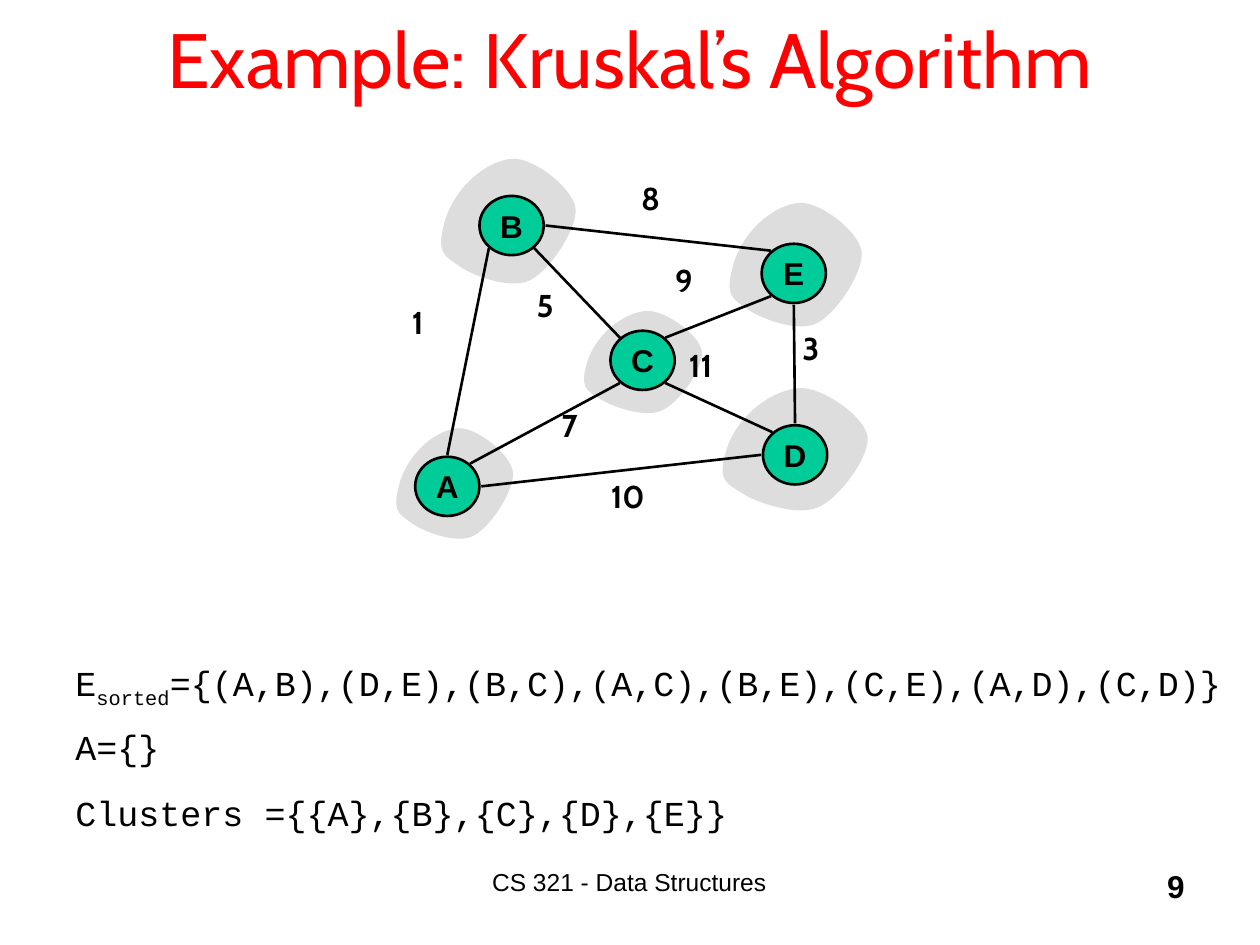
from dataclasses import dataclass

from lxml import etree
from pptx import Presentation
from pptx.dml.color import RGBColor as Rgb
from pptx.enum import shapes, text
from pptx.oxml import ns
from pptx.util import Inches, Pt


@dataclass(frozen=True)
class Theme:
    red: str = "FF0000"
    black: str = "000000"
    green: str = "00CC99"
    gray: str = "DDDDDD"
    head: str = "Cabin"
    body: str = "Arial"
    code: str = "Courier New"
    title: int = 44
    label: int = 18
    set: int = 20
    foot: int = 14
    line: float = 1.5


T = Theme()

# Node centres, and the cluster blob (left, top, width, height) behind each
NODES = {
    "A": ((3.55, 3.86), (3.1, 3.39, 0.99, 0.93)),
    "B": ((4.06, 1.79), (3.45, 1.25, 1.14, 1.05)),
    "C": ((5.1, 2.86), (4.59, 2.46, 1.0, 0.86)),
    "D": ((6.31, 3.61), (5.68, 3.07, 1.23, 1.03)),
    "E": ((6.3, 2.17), (5.74, 1.6, 1.12, 1.04)),
}
NODE_W, NODE_H = 0.51, 0.47

# Blob outline on a unit square: start, then three points per curve
BLOB = [
    (0.08, 0.45),
    (0, 0.73), (0.07, 0.74), (0.17, 0.82),
    (0.26, 0.89), (0.52, 1), (0.66, 0.93),
    (0.8, 0.86), (1, 0.53), (0.98, 0.38),
    (0.96, 0.23), (0.69, 0), (0.54, 0.01),
    (0.39, 0.02), (0.17, 0.18), (0.08, 0.45),
]

# Edges: node and side it leaves, node and side it meets, weight, weight's place
EDGES = [
    ("A", (0, -1), "B", (-1, 1), "1", (3.17, 2.36)),
    ("D", (0, -1), "E", (0, 1), "3", (6.27, 2.56)),
    ("B", (1, 1), "C", (-1, -1), "5", (4.16, 2.22)),
    ("A", (1, -1), "C", (-1, 1), "7", (4.36, 3.17)),
    ("B", (1, 0), "E", (-1, -1), "8", (4.99, 1.37)),
    ("C", (1, -1), "E", (-1, 1), "9", (5.26, 2.02)),
    ("A", (1, 0), "D", (-1, 0), "10", (4.75, 3.74)),
    ("C", (1, 1), "D", (-1, -1), "11", (5.37, 2.7)),
]

# Sets below the graph: top, width, runs of (words, baseline)
SETS = [
    (5.2, 9.42, [("E", 0), ("sorted", -25000),
                 ("={(A,B),(D,E),(B,C),(A,C),(B,E),(C,E),(A,D),(C,D)}", 0)]),
    (5.71, 1.78, [("A={}", 0)]),
    (6.23, 5.47, [("Clusters ={{A},{B},{C},{D},{E}}", 0)]),
]


def put(para, words, font, size, color=T.black, bold=False, base=0):
    run = para.add_run()
    run.text = words
    run.font.name, run.font.size, run.font.bold = font, Pt(size), bold
    run.font.color.rgb = Rgb.from_string(color)
    if base:
        run.font._element.set("baseline", str(base))


def paint(shape, color):
    shape.shadow.inherit = False
    shape.fill.solid()
    shape.fill.fore_color.rgb = Rgb.from_string(color)


def box(parent, x, y, w, h, align=text.PP_ALIGN.LEFT):
    frame = parent.add_textbox(Inches(x), Inches(y), Inches(w), Inches(h)).text_frame
    frame.word_wrap = True
    frame.paragraphs[0].alignment = align
    return frame.paragraphs[0]


def blob(group, x, y, w, h):
    pts = [(Inches(x + w * u), Inches(y + h * v)) for u, v in BLOB]
    pen = group.build_freeform(*pts[0])
    pen.add_line_segments(pts[1:], close=True)
    shape = pen.convert_to_shape()
    paint(shape, T.gray)
    shape.line.fill.background()
    # Turn each three straight steps into one Bezier curve
    steps = list(shape._element.iter(ns.qn("a:lnTo")))
    for i in range(0, len(steps), 3):
        curve = etree.Element(ns.qn("a:cubicBezTo"))
        steps[i].addprevious(curve)
        for step in steps[i:i + 3]:
            curve.append(step[0])
            step.getparent().remove(step)


def node(group, name, x, y):
    shape = group.add_shape(shapes.MSO_SHAPE.OVAL, Inches(x - NODE_W / 2),
                            Inches(y - NODE_H / 2), Inches(NODE_W), Inches(NODE_H))
    paint(shape, T.green)
    shape.line.color.rgb = Rgb.from_string(T.black)
    shape.line.width = Pt(T.line)
    frame = shape.text_frame
    frame.word_wrap = False
    frame.margin_left = frame.margin_right = frame.margin_top = frame.margin_bottom = 0
    frame.vertical_anchor = text.MSO_ANCHOR.MIDDLE
    frame.paragraphs[0].alignment = text.PP_ALIGN.CENTER
    put(frame.paragraphs[0], name, T.body, T.label, bold=True)


def port(name, side):
    """Point just outside a node; diagonal sides sit closer to the centre."""
    (x, y), (dx, dy) = NODES[name][0], side
    rx, ry = (0.18, 0.18) if dx and dy else (0.27, 0.25)
    return Inches(x + dx * rx), Inches(y + dy * ry)


def edge(group, a, out, b, into):
    line = group.add_connector(shapes.MSO_CONNECTOR.STRAIGHT, *port(a, out), *port(b, into))
    line.line.color.rgb = Rgb.from_string(T.black)
    line.line.width = Pt(T.line)
    etree.SubElement(line._element.spPr, ns.qn("a:effectLst"))


def title(slide, words):
    head = slide.shapes.title
    head.left, head.top = Inches(0.75), Inches(-0.17)
    head.width, head.height = Inches(8.5), Inches(1.25)
    frame = head.text_frame
    frame.auto_size = text.MSO_AUTO_SIZE.NONE
    frame.vertical_anchor = text.MSO_ANCHOR.MIDDLE
    frame.paragraphs[0].alignment = text.PP_ALIGN.CENTER
    put(frame.paragraphs[0], words, T.head, T.title, T.red)


def graph(slide):
    group = slide.shapes.add_group_shape().shapes
    for _, area in NODES.values():
        blob(group, *area)
    for name, (spot, _) in NODES.items():
        node(group, name, *spot)
    for a, out, b, into, cost, (x, y) in EDGES:
        edge(group, a, out, b, into)
        para = box(group, x, y, 0.52 if len(cost) == 1 else 0.73, 0.57)
        put(para, cost, T.head, T.label, bold=True)


def main():
    deck = Presentation()
    deck.slide_width, deck.slide_height = Inches(10), Inches(7.5)
    slide = deck.slides.add_slide(deck.slide_layouts[5])

    title(slide, "Example: Kruskal\u2019s Algorithm")
    graph(slide)

    # Edge order, chosen edges and clusters
    for y, w, runs in SETS:
        para = box(slide.shapes, 0.5, y, w, 0.44)
        for words, base in runs:
            put(para, words, T.code, T.set, base=base)

    # Footer and page number
    put(box(slide.shapes, 3.08, 6.83, 3.83, 0.5, text.PP_ALIGN.CENTER),
        "CS 321 - Data Structures", T.body, T.foot)
    put(box(slide.shapes, 7.42, 6.83, 2.08, 0.5, text.PP_ALIGN.RIGHT),
        "9", T.body, T.label, bold=True)

    deck.save("out.pptx")


main()
